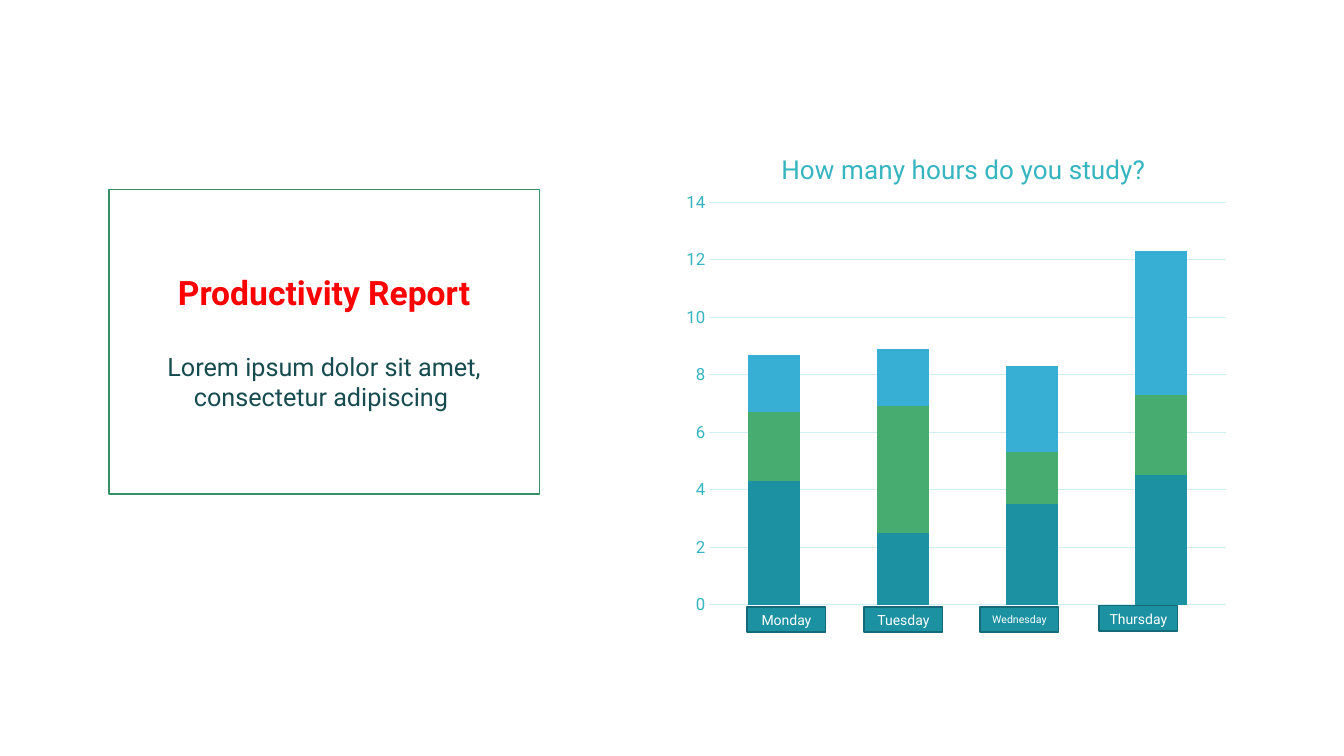
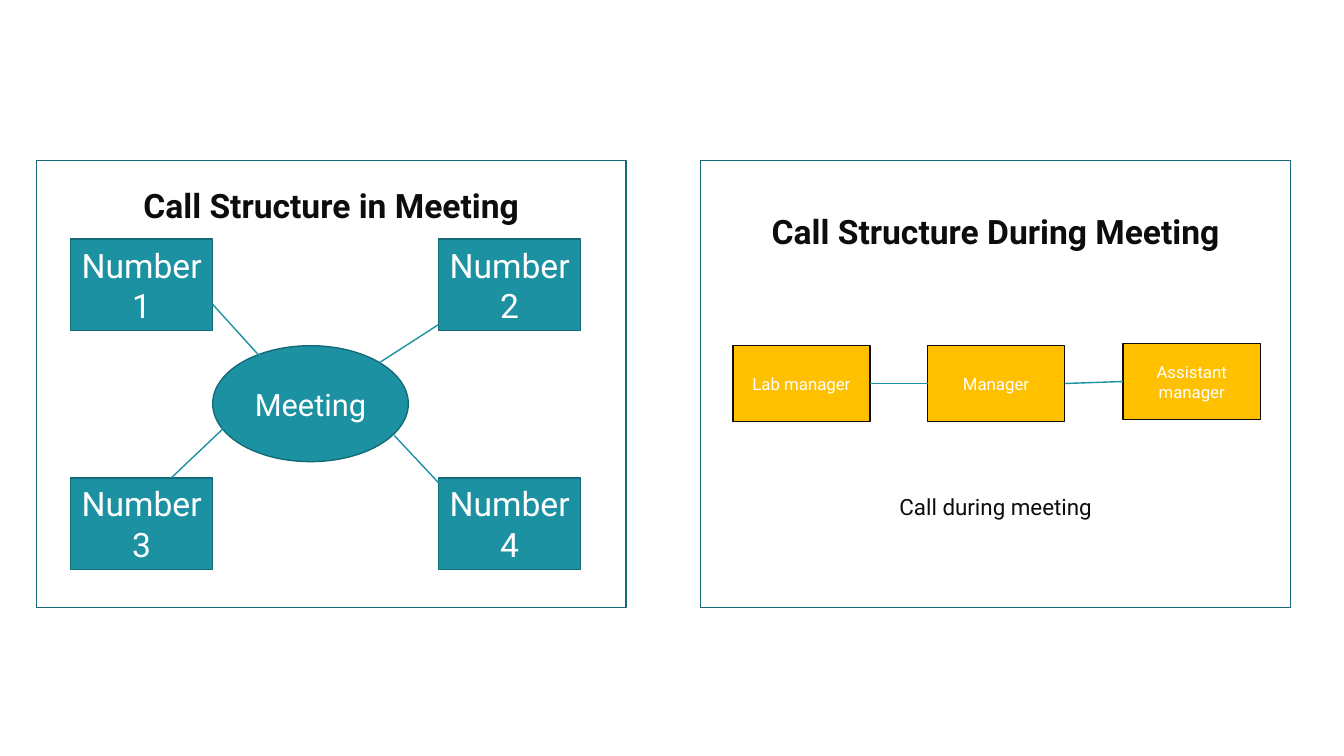
from collections import namedtuple
from dataclasses import dataclass

from lxml import etree
from pptx import Presentation
from pptx.chart.data import CategoryChartData
from pptx.dml.color import RGBColor
from pptx.enum.chart import XL_CHART_TYPE, XL_TICK_MARK
from pptx.enum.shapes import MSO_CONNECTOR, MSO_SHAPE
from pptx.enum.text import MSO_ANCHOR, PP_ALIGN
from pptx.oxml.ns import qn
from pptx.util import Emu, Pt

STACKED = XL_CHART_TYPE.COLUMN_STACKED
NO_TICK = XL_TICK_MARK.NONE
STRAIGHT = MSO_CONNECTOR.STRAIGHT
RECTANGLE, OVAL = MSO_SHAPE.RECTANGLE, MSO_SHAPE.OVAL
TOP, MIDDLE = MSO_ANCHOR.TOP, MSO_ANCHOR.MIDDLE
CENTER = PP_ALIGN.CENTER
LEFT_SIDE, RIGHT_SIDE = 1, 3

PX = 9144  # EMU: 100 px to the inch
SIDE_INSET, END_INSET = 5, 5

Box = namedtuple("Box", "left top width height")
# Colour, size in points, weight, and space above in points
Style = namedtuple("Style", "color size bold above", defaults=(False, 0))


@dataclass(frozen=True)
class Theme:
    font: str = "Roboto"
    white: str = "FFFFFF"
    ink: str = "0D0D0D"
    red: str = "FF0000"
    dark_teal: str = "164B4F"
    teal: str = "1B91A1"
    teal_edge: str = "146B77"
    green_edge: str = "389066"
    amber: str = "FFC000"
    chart_text: str = "35B5BF"
    grid: str = "CFEFF2"
    series: tuple = ("1B91A1", "46AC6F", "37AFD5")
    heading: float = 24
    hub: float = 22
    chart_title: float = 18.6
    body: float = 18
    caption: float = 16
    small: float = 12
    day: float = 10
    long_day: float = 7.5
    line: float = 1
    grid_line: float = 0.75


THEME = Theme()


def px(length):
    return Emu(length * PX)


def rgb(color):
    return RGBColor.from_string(color)


def within(box, left, top, width, height):
    """Turn offsets inside a box into a box on the page."""
    return Box(box.left + left, box.top + top, width, height)


def style_font(font, style):
    font.name = THEME.font
    font.size = Pt(style.size)
    font.bold = style.bold
    font.color.rgb = rgb(style.color)


def add_block(page, box, fill, edge, texts, kind=RECTANGLE, anchor=MIDDLE,
              top_inset=END_INSET):
    """Add an outlined shape; texts holds one (text, style) pair per paragraph."""
    shape = page.shapes.add_shape(kind, *map(px, box))
    shape.shadow.inherit = False
    shape.fill.solid()
    shape.fill.fore_color.rgb = rgb(fill)
    shape.line.color.rgb = rgb(edge)
    shape.line.width = Pt(THEME.line)
    frame = shape.text_frame
    frame.word_wrap = True
    frame.vertical_anchor = anchor
    frame.margin_left = frame.margin_right = px(SIDE_INSET)
    frame.margin_top, frame.margin_bottom = px(top_inset), px(END_INSET)
    frame.text = "\n".join(text for text, _ in texts)
    for para, (_, style) in zip(frame.paragraphs, texts):
        para.alignment = CENTER
        para.space_before = Pt(style.above)
        for span in para.runs:
            style_font(span.font, style)
    return shape


def add_line(page, start, end):
    line = page.shapes.add_connector(STRAIGHT, *map(px, (*start, *end)))
    line.line.color.rgb = rgb(THEME.teal)
    line.line.width = Pt(THEME.line)
    etree.SubElement(line._element.spPr, qn("a:effectLst"))
    return line


def set_layout(parent, index, **fractions):
    """Place a chart part by fractions of the chart's size."""
    layout = parent.find(qn("c:layout"))
    if layout is None:
        layout = parent.makeelement(qn("c:layout"))
        parent.insert(index, layout)
    manual = etree.SubElement(layout, qn("c:manualLayout"))
    if "w" in fractions:
        etree.SubElement(manual, qn("c:layoutTarget")).set("val", "inner")
    for axis in "xy":
        etree.SubElement(manual, qn(f"c:{axis}Mode")).set("val", "edge")
    for name, fraction in fractions.items():
        etree.SubElement(manual, qn(f"c:{name}")).set("val", str(fraction))


def add_report_panel(page, box):
    add_block(page, box, THEME.white, THEME.green_edge, [
        ("Productivity Report", Style(THEME.red, THEME.heading, True)),
        ("Lorem ipsum dolor sit amet, consectetur adipiscing ",
         Style(THEME.dark_teal, THEME.body, above=28)),
    ])


def add_study_chart(page, box):
    data = CategoryChartData()
    data.categories = ["1", "2", "3", "4"]
    data.add_series("Series 1", (4.3, 2.5, 3.5, 4.5))
    data.add_series("Series 2", (2.4, 4.4, 1.8, 2.8))
    data.add_series("Series 3", (2, 2, 3, 5))
    chart = page.shapes.add_chart(STACKED, *map(px, box), data).chart
    style_font(chart.font, Style(THEME.dark_teal, THEME.day))
    chart.has_legend = False

    title = chart.chart_title
    title.text_frame.text = "How many hours do you study?"
    style_font(title.text_frame.paragraphs[0].runs[0].font,
               Style(THEME.chart_text, THEME.chart_title))
    title.include_in_layout = False
    set_layout(title._element, 1, x=0.18, y=0.05)
    plot_area = chart._chartSpace.find(".//" + qn("c:plotArea"))
    set_layout(plot_area, 0, x=0.06, y=0.16, w=0.92, h=0.8)

    plot = chart.plots[0]
    plot.gap_width, plot.overlap = 150, 100
    plot.vary_by_categories = False
    for series, color in zip(plot.series, THEME.series):
        series.format.fill.solid()
        series.format.fill.fore_color.rgb = rgb(color)

    chart.category_axis.visible = False
    hours = chart.value_axis
    hours.minimum_scale, hours.maximum_scale, hours.major_unit = 0, 14, 2
    hours.major_tick_mark = hours.minor_tick_mark = NO_TICK
    hours.format.line.fill.background()
    hours.has_major_gridlines = True
    grid = hours.major_gridlines.format.line
    grid.color.rgb = rgb(THEME.grid)
    grid.width = Pt(THEME.grid_line)
    style_font(hours.tick_labels.font, Style(THEME.chart_text, THEME.small))


def add_day_labels(page, box):
    days = [
        ("Monday", 0, 1, THEME.day),
        ("Tuesday", 116, 1, THEME.day),
        ("Wednesday", 231, 1, THEME.long_day),
        ("Thursday", 349, 0, THEME.day),
    ]
    for day, left, top, size in days:
        add_block(page, within(box, left, top, 78, 25), THEME.teal,
                  THEME.teal_edge, [(day, Style(THEME.white, size))])


def add_hub_panel(page, box):
    """Four numbered blocks around a central meeting."""
    heading = Style(THEME.ink, THEME.heading, True)
    add_block(page, box, THEME.white, THEME.teal_edge,
              [("Call Structure in Meeting", heading)],
              anchor=TOP, top_inset=24)
    add_block(page, within(box, 175, 184, 194, 115), THEME.teal,
              THEME.teal_edge, [("Meeting", Style(THEME.white, THEME.hub))],
              kind=OVAL)
    for index in range(4):
        row, column = divmod(index, 2)
        corner = within(box, 34 + 365 * column, 78 + 237 * row, 141, 91)
        add_block(page, corner, THEME.teal, THEME.teal_edge,
                  [(f"Number {index + 1}", Style(THEME.white, THEME.heading))])
    spokes = [
        ((175, 143), (233, 207)),
        ((399, 163), (340, 201)),
        ((194, 258), (134, 315)),
        ((355, 273), (399, 320)),
    ]
    for ends in spokes:
        add_line(page, *((box.left + x, box.top + y) for x, y in ends))


def add_chain_panel(page, box):
    """Three roles joined in a row."""
    add_block(page, box, THEME.white, THEME.teal_edge, [
        ("Call Structure During Meeting",
         Style(THEME.ink, THEME.heading, True)),
        ("Call during meeting", Style(THEME.ink, THEME.caption, above=173)),
    ], anchor=TOP, top_inset=50)
    roles = [("Lab manager", 32, 184), ("Manager", 225, 184),
             ("Assistant manager", 419, 182)]
    blocks = [
        add_block(page, within(box, left, top, 136, 75), THEME.amber,
                  THEME.ink, [(role, Style(THEME.white, THEME.small))])
        for role, left, top in roles
    ]
    for before, after in zip(blocks, blocks[1:]):
        link = add_line(page, (box.left, box.top), (box.left, box.top))
        link.begin_connect(before, RIGHT_SIDE)
        link.end_connect(after, LEFT_SIDE)


def build_report_page(page):
    add_report_panel(page, Box(108, 188, 427, 302))
    add_study_chart(page, Box(670, 121, 557, 499))
    add_day_labels(page, Box(741, 601, 427, 26))


def build_calls_page(page):
    add_hub_panel(page, Box(36, 159, 585, 444))
    add_chain_panel(page, Box(695, 159, 585, 444))


def main():
    deck = Presentation()
    deck.slide_width, deck.slide_height = px(1333), px(750)
    blank = deck.slide_layouts[6]
    for build in (build_report_page, build_calls_page):
        build(deck.slides.add_slide(blank))
    deck.save("out.pptx")


if __name__ == "__main__":
    main()
